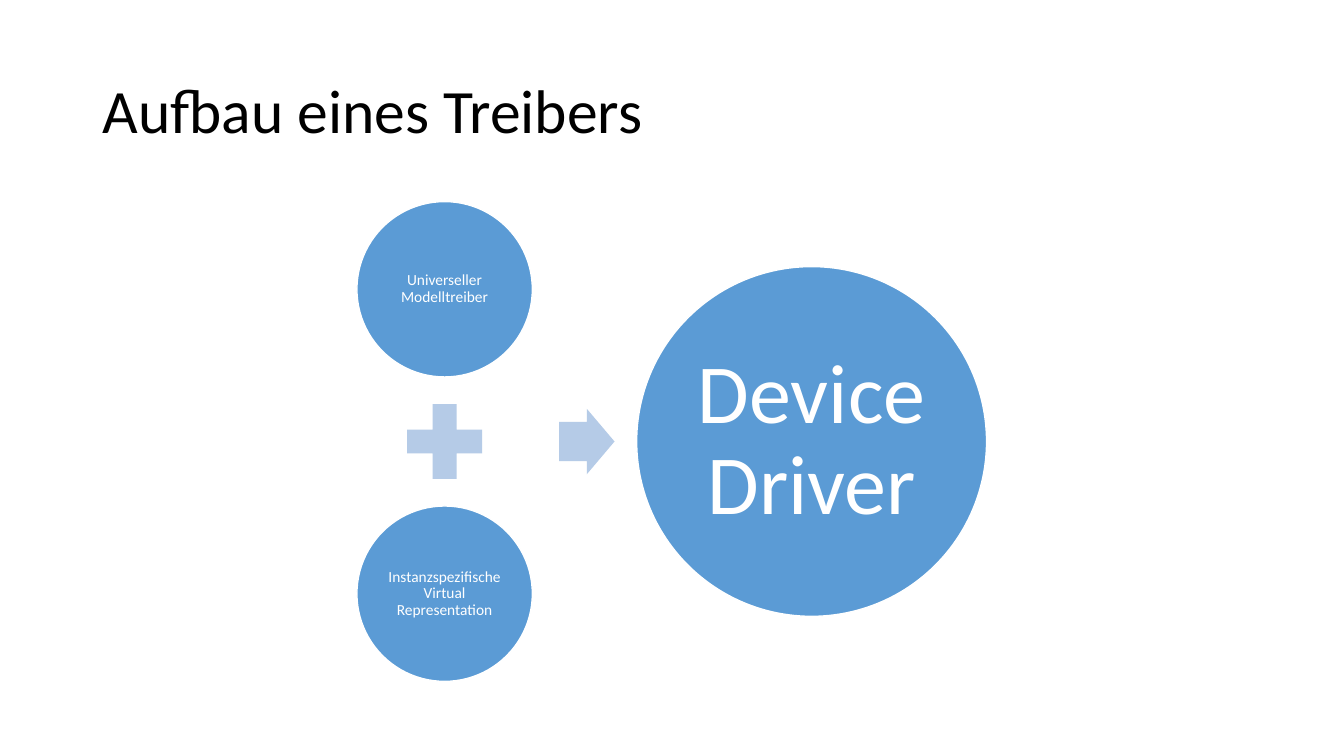
from dataclasses import dataclass

from pptx import Presentation
from pptx import util as u
from pptx.dml import color
from pptx.enum import shapes, text

Kind = shapes.MSO_SHAPE


@dataclass(frozen=True)
class Theme:
    font: str = "Calibri"
    ink: str = "000000"
    paper: str = "FFFFFF"
    blue: str = "5B9BD5"
    pale: str = "B5CBE7"
    title: int = 44
    small: int = 11
    large: int = 60


@dataclass(frozen=True)
class Disc:
    label: str
    x: float  # centre
    y: float
    width: float
    size: int
    inset: float


@dataclass(frozen=True)
class Sign:
    kind: Kind
    x: float  # centre
    y: float
    width: float
    height: float
    adjust: tuple[float, ...] = ()


THEME = Theme()


def rgb(code: str) -> color.RGBColor:
    return color.RGBColor.from_string(code)


def style(frame, size: int, ink: str, align) -> None:
    frame.word_wrap = True
    frame.vertical_anchor = text.MSO_ANCHOR.MIDDLE
    for para in frame.paragraphs:
        para.alignment = align
        para.line_spacing = 0.9
        for run in para.runs:
            run.font.name = THEME.font
            run.font.size = u.Pt(size)
            run.font.color.rgb = rgb(ink)


def place(slide, kind: Kind, x: float, y: float, width: float,
          height: float, fill: str):
    """Add a plain filled shape centred on x, y."""
    shape = slide.shapes.add_shape(
        kind, u.Inches(x - width / 2), u.Inches(y - height / 2),
        u.Inches(width), u.Inches(height))
    shape.shadow.inherit = False
    shape.fill.solid()
    shape.fill.fore_color.rgb = rgb(fill)
    shape.line.fill.background()
    return shape


def draw_disc(slide, disc: Disc) -> None:
    shape = place(slide, Kind.OVAL, disc.x, disc.y, disc.width, disc.width,
                  THEME.blue)
    shape.line.color.rgb = rgb(THEME.paper)
    shape.line.width = u.Pt(1)
    frame = shape.text_frame
    frame.text = disc.label
    frame.margin_left = frame.margin_right = u.Inches(disc.inset)
    frame.margin_top = frame.margin_bottom = u.Inches(disc.inset)
    style(frame, disc.size, THEME.paper, text.PP_ALIGN.CENTER)


def draw_sign(slide, sign: Sign) -> None:
    shape = place(slide, sign.kind, sign.x, sign.y, sign.width, sign.height,
                  THEME.pale)
    for index, value in enumerate(sign.adjust):
        shape.adjustments[index] = value


# Slide
deck = Presentation()
deck.slide_width, deck.slide_height = u.Inches(13.33), u.Inches(7.5)
slide = deck.slides.add_slide(deck.slide_layouts[5])

# Title
title = slide.shapes.title
title.left, title.top = u.Inches(0.92), u.Inches(0.4)
title.width, title.height = u.Inches(8.99), u.Inches(1.45)
title.text_frame.text = "Aufbau eines Treibers"
style(title.text_frame, THEME.title, THEME.ink, text.PP_ALIGN.LEFT)

# Two parts add up to the driver, all set around one middle line
MID, LEFT, STEP = 4.38, 4.41, 1.51
DISCS = (
    Disc("Universeller Modelltreiber", LEFT, MID - STEP, 1.74,
         THEME.small, 0.02),
    Disc("Instanzspezifische Virtual Representation", LEFT, MID + STEP, 1.74,
         THEME.small, 0.02),
    Disc("Device Driver", 8.05, MID, 3.47, THEME.large, 0.08),
)
SIGNS = (
    Sign(Kind.MATH_PLUS, LEFT, MID, 1.01, 1.01),
    Sign(Kind.RIGHT_ARROW, 5.82, MID, 0.55, 0.65, (0.6, 0.5)),
)
for disc in DISCS:
    draw_disc(slide, disc)
for sign in SIGNS:
    draw_sign(slide, sign)

deck.save("out.pptx")
